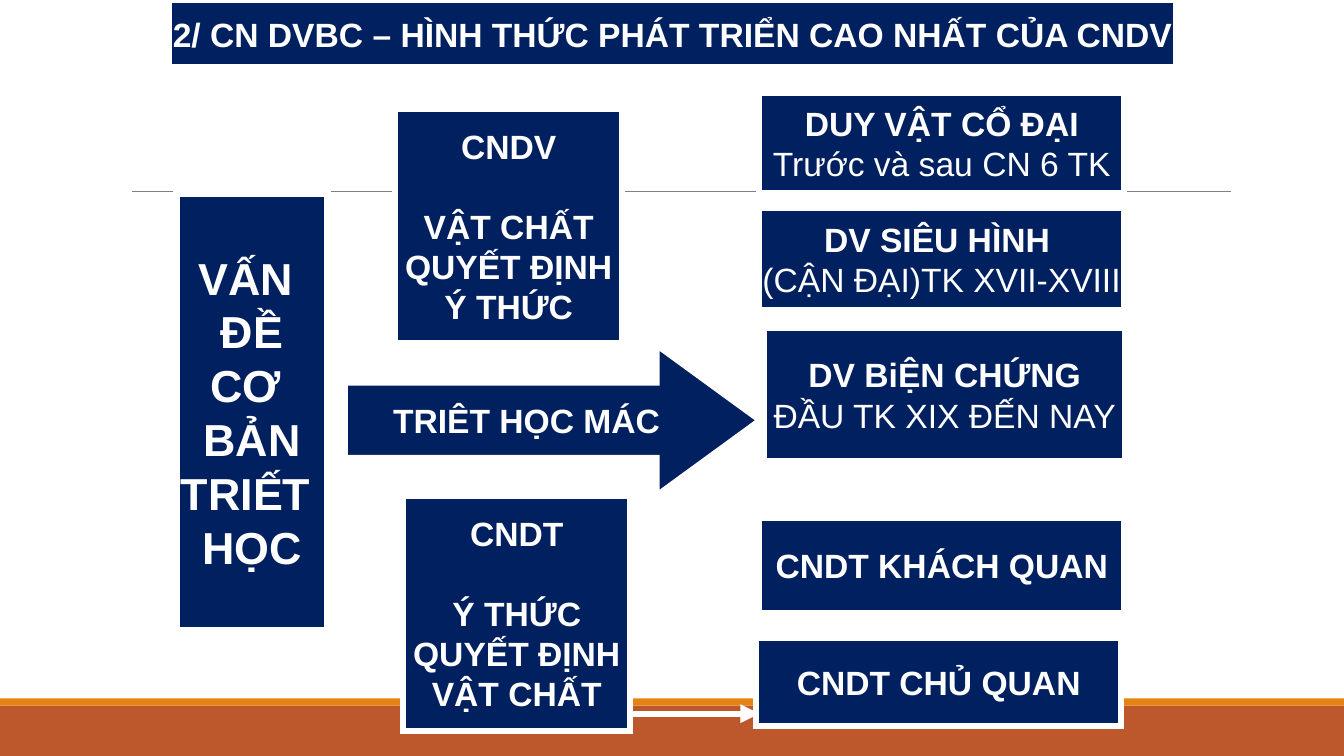
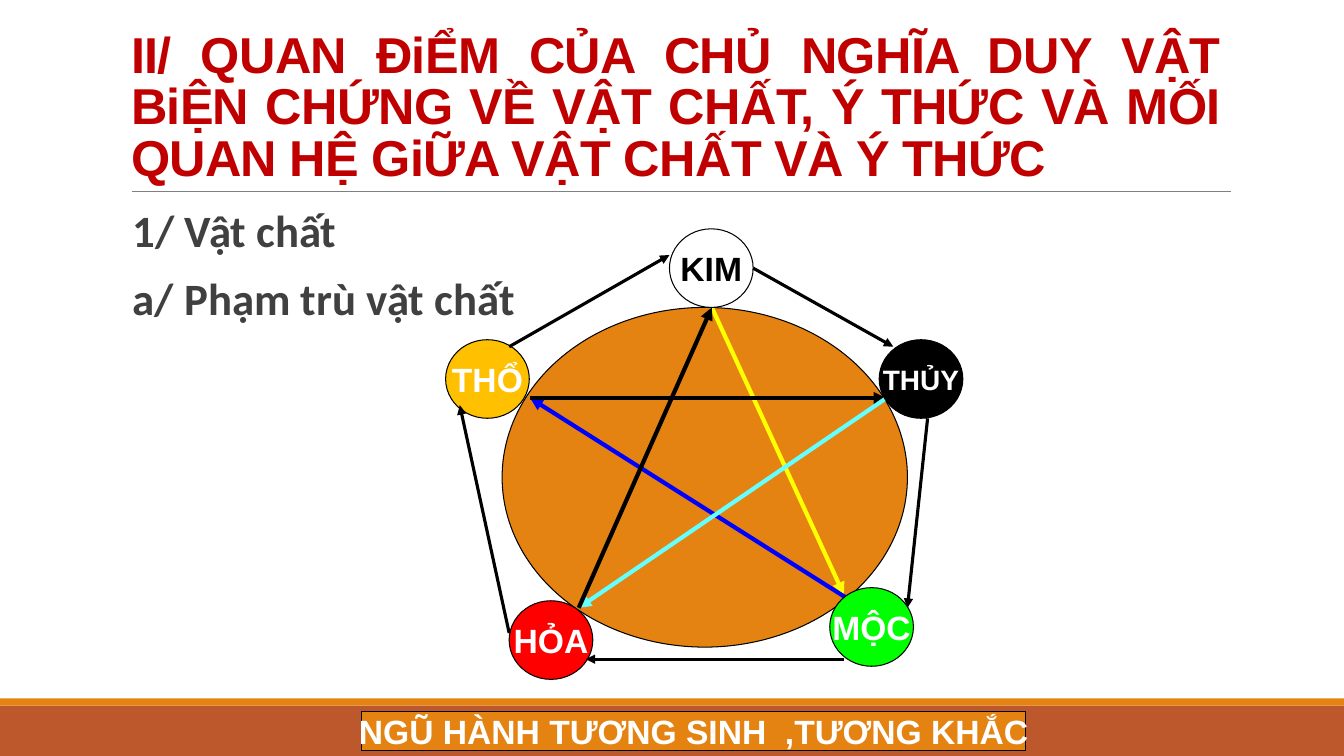
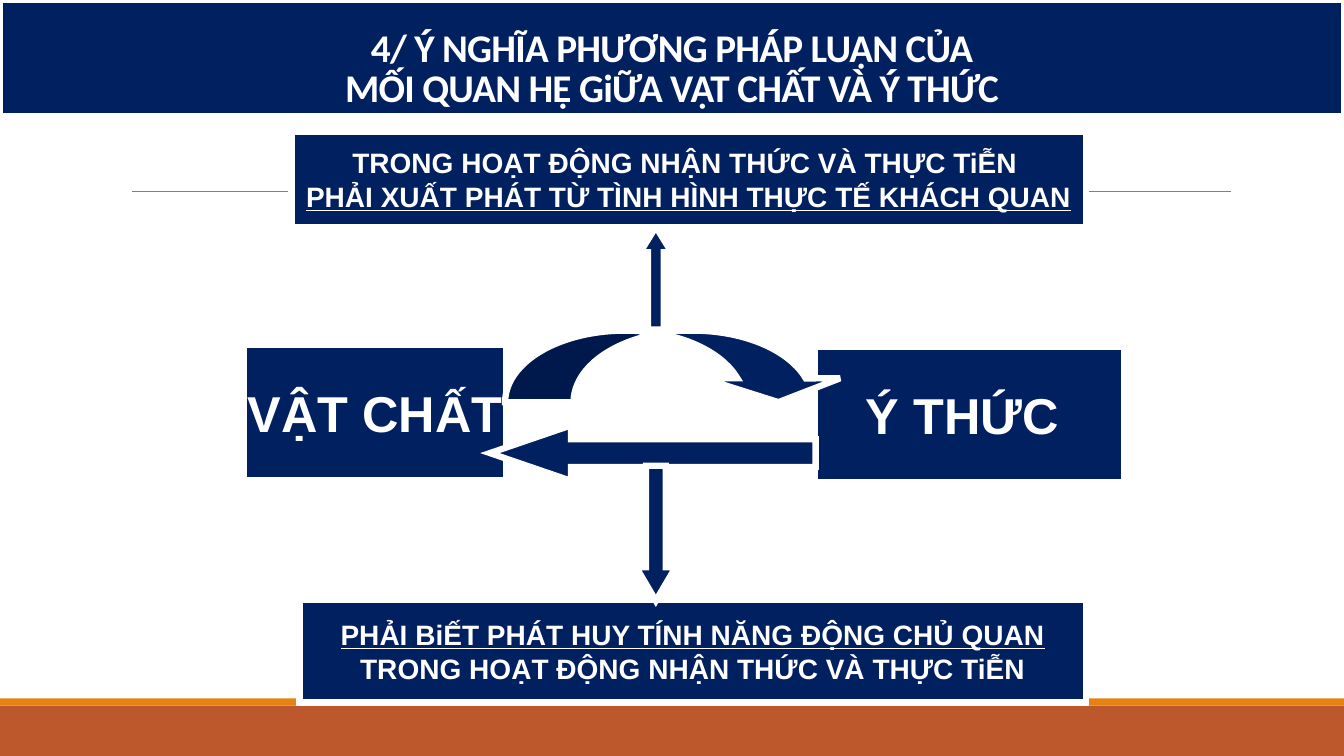
import pptx
import pptx.util
import pptx.dml.color
import pptx.enum.shapes
import pptx.enum.text
import pptx.oxml
import pptx.oxml.ns

Inches, Pt = pptx.util.Inches, pptx.util.Pt
RGBColor = pptx.dml.color.RGBColor
KIND = pptx.enum.shapes.MSO_SHAPE
ALIGN = pptx.enum.text.PP_ALIGN
ANCHOR = pptx.enum.text.MSO_ANCHOR
qn = pptx.oxml.ns.qn

# Shared look
WHITE = RGBColor(0xFF, 0xFF, 0xFF)
BLACK = RGBColor(0, 0, 0)
NAVY = RGBColor(0x00, 0x20, 0x60)
ORANGE = RGBColor(0xE4, 0x83, 0x12)
RUST = RGBColor(0xBD, 0x58, 0x2C)
GRAY = RGBColor(0x80, 0x80, 0x80)
DARK_GRAY = RGBColor(0x40, 0x40, 0x40)
CRIMSON = RGBColor(0xC0, 0, 0)
YELLOW = RGBColor(0xFF, 0xFF, 0)
BLUE = RGBColor(0, 0, 0xFF)
CYAN = RGBColor(0x66, 0xFF, 0xFF)
GREEN = RGBColor(0, 0xFF, 0)
RED = RGBColor(0xFF, 0, 0)
GOLD = RGBColor(0xFF, 0xC0, 0)
WIDTH, HEIGHT = 13.33, 7.5
NAVY_STYLE = dict(fill=NAVY, line=WHITE, weight=4.5)
THIN_STYLE = dict(line=BLACK, weight=0.75)

# Slide 1: boxes as (place, lines, size); a line may carry its own format
PLAIN = dict(bold=False)
GAP = dict(after=28)
SCHOOLS_TITLE = "2/ CN DVBC – HÌNH THỨC PHÁT TRIỂN CAO NHẤT CỦA CNDV"
SCHOOL_BOXES = [
    ((1.75, 1.92, 1.5, 4.33), ["VẤN ", "ĐỀ", "CƠ ", "BẢN", "TRIẾT ", "HỌC"], 32),
    ((7.53, 0.92, 3.62, 1), ["DUY VẬT CỔ ĐẠI", ("Trước và sau CN 6 TK", PLAIN)], 24),
    ((7.53, 2.06, 3.62, 1.02), ["DV SIÊU HÌNH ", ("(CẬN ĐẠI)TK XVII-XVIII", PLAIN)], 24),
    ((7.58, 3.25, 3.58, 1.33), ["DV BiỆN CHỨNG", ("ĐẦU TK XIX ĐẾN NAY", PLAIN)], 24),
    ((7.53, 5.14, 3.62, 0.94), ["CNDT KHÁCH QUAN"], 24),
    ((7.5, 6.33, 3.62, 0.87), ["CNDT CHỦ QUAN"], 24),
]
SCHOOL_ARROWS = [
    ((3.25, 2.35), (3.92, 2.33)), ((3.25, 5.75), (4, 5.75)),
    ((6.17, 1.25), (7.5, 1.25)), ((6.17, 2.31), (7.5, 2.31)),
    ((6.17, 3.33), (7.58, 3.33)), ((6.25, 5.25), (7.53, 5.26)),
    ((6.25, 7.08), (7.53, 7.08)),
]
CAMP_BOXES = [
    ((3.92, 1.08, 2.25, 2.33), [("CNDV", GAP), "VẬT CHẤT", "QUYẾT ĐỊNH", "Ý THỨC"]),
    ((4, 4.92, 2.25, 2.33), [("CNDT", GAP), "Ý THỨC", "QUYẾT ĐỊNH", "VẬT CHẤT"]),
]

# Slide 2: five elements as (name, left, top, fill, text colour, size)
MATTER_TITLE = ("II/ QUAN ĐiỂM CỦA CHỦ NGHĨA DUY VẬT BiỆN CHỨNG VỀ VẬT CHẤT, "
                "Ý THỨC VÀ MỐI QUAN HỆ GiỮA VẬT CHẤT VÀ Ý THỨC")
MATTER_POINTS = ["1/ Vật chất", "a/ Phạm trù vật chất"]
ELEMENTS = [
    ("KIM", 6.64, 2.27, WHITE, BLACK, 24),
    ("MỘC", 8.23, 5.83, GREEN, WHITE, 24),
    ("HỎA", 5.05, 5.96, RED, WHITE, 24),
    ("THỔ", 4.42, 3.37, GOLD, WHITE, 24),
    ("THỦY", 8.72, 3.37, BLACK, WHITE, 20),
]
STAR_ARROWS = [
    ((7.06, 3.05), (8.37, 5.9), YELLOW), ((8.44, 5.96), (5.26, 3.95), BLUE),
    ((5.26, 3.95), (8.79, 3.95), BLACK), ((8.79, 3.95), (5.74, 6.03), CYAN),
    ((5.74, 6.03), (7.06, 3.05), BLACK),
]
RING_ARROWS = [
    ((7.47, 2.66), (8.86, 3.44)), ((9.2, 4.15), (9, 6.03)),
    ((8.37, 6.54), (5.81, 6.54)), ((5.05, 6.28), (4.56, 4.02)),
    ((5.05, 3.44), (6.64, 2.53)),
]

# Slide 3: parts as (kind, place, adjustments, lines, size), back to front
UNDERLINED = dict(underline=True)
METHOD_TITLE = " 4/ Ý NGHĨA PHƯƠNG PHÁP LUẬN CỦA \nMỐI QUAN HỆ GiỮA VẬT CHẤT VÀ Ý THỨC"
METHOD_PARTS = [
    (KIND.RECTANGLE, (2.42, 3.42, 2.6, 1.34), [], ["VẬT CHẤT"], 36),
    (KIND.RECTANGLE, (8.08, 3.44, 3.07, 1.34), [], ["Ý THỨC "], 36),
    (KIND.CURVED_DOWN_ARROW, (5.01, 3.28, 3.39, 0.71), [0.956, 1.913, 0.333], [], 0),
    (KIND.LEFT_ARROW, (4.86, 4.22, 3.23, 0.55), [0.5, 1.461], [], 0),
    (KIND.UP_ARROW, (6.35, 2.25, 0.31, 1.02), [0.5, 0.815], [], 0),
    (KIND.RECTANGLE, (2.89, 1.31, 7.88, 0.94), [],
     ["TRONG HOẠT ĐỘNG NHẬN THỨC VÀ THỰC TiỄN ",
      ("PHẢI XUẤT PHÁT TỪ TÌNH HÌNH THỰC TẾ KHÁCH QUAN", UNDERLINED)], 20),
    (KIND.RECTANGLE, (2.97, 5.95, 7.8, 1.02), [],
     [("PHẢI BiẾT PHÁT HUY TÍNH NĂNG ĐỘNG CHỦ QUAN", UNDERLINED),
      "TRONG HOẠT ĐỘNG NHẬN THỨC VÀ THỰC TiỄN"], 20),
    (KIND.DOWN_ARROW, (6.31, 4.62, 0.39, 1.34), [0.5, 0.849], [], 0),
]


def format_para(para, text, size=24, font="Arial", color=WHITE, bold=True,
                underline=False, align=ALIGN.CENTER, spacing=None, before=0, after=0):
    para.text = text
    para.alignment = align
    para.space_before, para.space_after = Pt(before), Pt(after)
    if spacing:
        para.line_spacing = spacing
    for span in para.runs:
        span.font.name, span.font.size = font, Pt(size)
        span.font.bold, span.font.underline = bold, underline
        span.font.color.rgb = color


def write(shape, lines, wrap=False, anchor=ANCHOR.MIDDLE, side=0.1, **style):
    frame = shape.text_frame
    frame.auto_size = pptx.enum.text.MSO_AUTO_SIZE.NONE
    frame.word_wrap, frame.vertical_anchor = wrap, anchor
    frame.margin_left = frame.margin_right = Inches(side)
    for index, line in enumerate(lines):
        text, own = (line, {}) if isinstance(line, str) else line
        para = frame.add_paragraph() if index else frame.paragraphs[0]
        format_para(para, text, **{**style, **own})


def extend_outline(shape, tag, **attributes):
    outline = shape.element.find(".//" + qn("a:ln"))
    outline.append(outline.makeelement(qn(tag), attributes))


def paint(shape, fill, line=None, weight=0):
    shape.fill.solid()
    shape.fill.fore_color.rgb = fill
    if line is None:
        shape.line.fill.background()
    else:
        shape.line.color.rgb = line
        shape.line.width = Pt(weight)
        extend_outline(shape, "a:miter", lim="800000")


def add_part(page, kind, place, lines=(), look=NAVY_STYLE, adjust=(), **style):
    shape = page.shapes.add_shape(kind, *map(Inches, place))
    shape.shadow.inherit = False
    paint(shape, **look)
    for index, value in enumerate(adjust):
        shape.adjustments[index] = value
    write(shape, lines, **style)
    return shape


def add_line(page, start, end, color, weight, arrow=True):
    line = page.shapes.add_connector(pptx.enum.shapes.MSO_CONNECTOR.STRAIGHT,
                                     *map(Inches, start + end))
    line.line.color.rgb = color
    line.line.width = Pt(weight)
    if arrow:
        extend_outline(line, "a:tailEnd", type="triangle")
    properties = line.element.spPr
    properties.append(properties.makeelement(qn("a:effectLst"), {}))
    return line


def set_title(page, text, place, look=None, tracking=0, **style):
    title = page.shapes.title
    title.left, title.top, title.width, title.height = map(Inches, place)
    if look:
        paint(title, **look)
    write(title, [text], **style)
    if tracking:
        for props in title.element.iter(qn("a:rPr")):
            props.set("spc", str(tracking))


def decorate_master(deck, page):
    """Draw the bands and rule, then move them behind everything on the master."""
    parts = [
        add_part(page, KIND.RECTANGLE, (0, 7, WIDTH, 0.5), look=dict(fill=RUST)),
        add_part(page, KIND.RECTANGLE, (0, 6.93, WIDTH, 0.07), look=dict(fill=ORANGE)),
        add_line(page, (1.31, 1.9), (12.21, 1.9), GRAY, 0.5, arrow=False),
    ]
    tree = deck.slide_master.shapes.element
    for index, part in enumerate(parts):
        part.element.find(".//" + qn("p:cNvPr")).set("id", str(100 + index))
        tree.insert(2 + index, part.element)


def build_schools(page):
    set_title(page, SCHOOLS_TITLE, (1.67, 0, 10, 0.67), look=NAVY_STYLE, side=0)
    for place, lines, size in SCHOOL_BOXES:
        add_part(page, KIND.RECTANGLE, place, lines, size=size)
    for start, end in SCHOOL_ARROWS:
        add_line(page, start, end, WHITE, 4.5)
    add_part(page, KIND.RIGHT_ARROW, (3.42, 3.42, 4.12, 1.5), ["TRIÊT HỌC MÁC"],
             adjust=[0.5, 0.686])
    for place, lines in CAMP_BOXES:
        add_part(page, KIND.RECTANGLE, place, lines)


def build_matter(page):
    set_title(page, MATTER_TITLE, (1.2, 0.31, 11, 1.59), tracking=-50, wrap=True,
              anchor=ANCHOR.BOTTOM, size=36, color=CRIMSON, align=ALIGN.JUSTIFY,
              spacing=0.85)
    points = page.shapes.add_textbox(*map(Inches, (1.22, 2.02, 11, 1.5)))
    write(points, MATTER_POINTS, wrap=True, anchor=ANCHOR.TOP, size=32, font="Calibri",
          color=DARK_GRAY, align=ALIGN.JUSTIFY, spacing=0.9, before=12, after=2)

    # Wheel of elements
    add_part(page, KIND.OVAL, (4.98, 3.05, 4.02, 3.37), look=dict(fill=ORANGE, **THIN_STYLE))
    for start, end, color in STAR_ARROWS:
        add_line(page, start, end, color, 3)
    for name, left, top, fill, color, size in ELEMENTS:
        add_part(page, KIND.OVAL, (left, top, 0.83, 0.78), [name],
                 look=dict(fill=fill, **THIN_STYLE), color=color, size=size)
    add_part(page, KIND.RECTANGLE, (3.59, 7.06, 6.58, 0.39),
             ["NGŨ HÀNH TƯƠNG SINH  ,TƯƠNG KHẮC"], look=dict(fill=ORANGE, **THIN_STYLE))
    for start, end in RING_ARROWS:
        add_line(page, start, end, BLACK, 2.25)


def build_method(page):
    set_title(page, METHOD_TITLE, (0, 0, WIDTH, 1.15), look=NAVY_STYLE, tracking=-50,
              wrap=True, anchor=ANCHOR.BOTTOM, size=28, font="Calibri", spacing=0.85)
    for kind, place, adjust, lines, size in METHOD_PARTS:
        add_part(page, kind, place, lines, adjust=adjust, size=size)


def main():
    deck = pptx.Presentation()
    deck.slide_width, deck.slide_height = Inches(WIDTH), Inches(HEIGHT)
    title_only = deck.slide_layouts[5]
    for number, build in enumerate([build_schools, build_matter, build_method]):
        page = deck.slides.add_slide(title_only)
        if number == 0:
            decorate_master(deck, page)
        build(page)
    deck.save("out.pptx")


if __name__ == "__main__":
    main()
